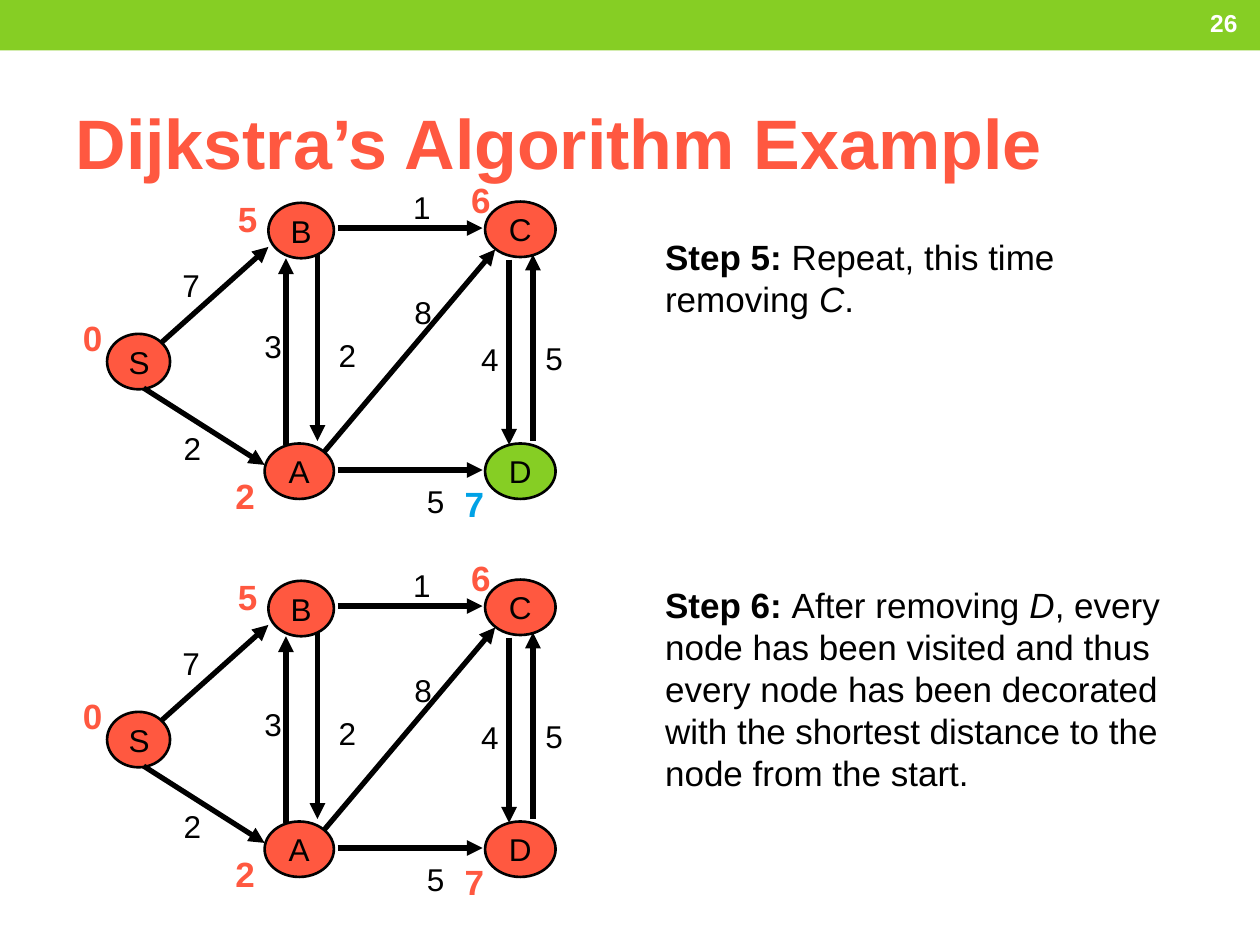
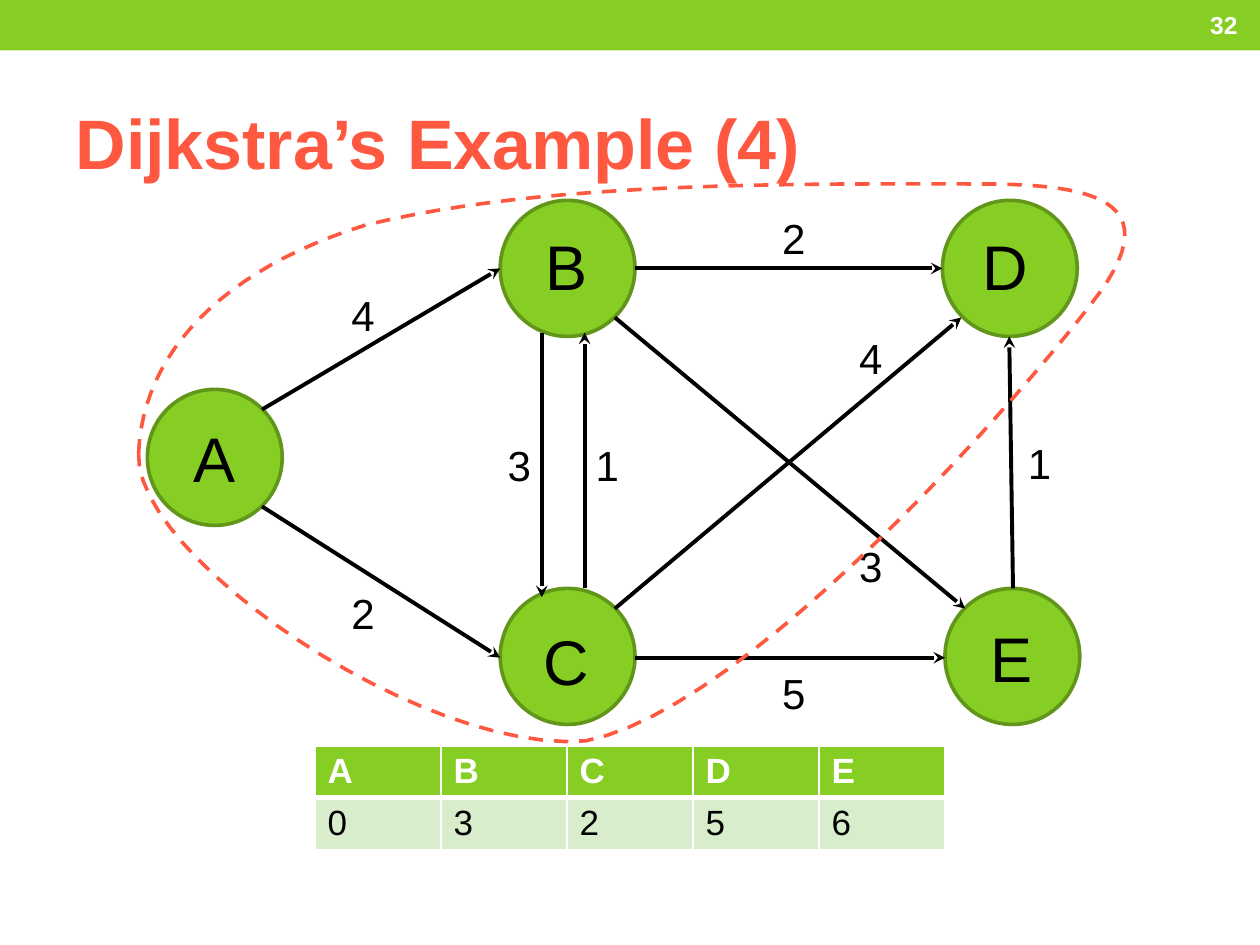
from lxml import etree
from pptx import Presentation
from pptx.dml.color import RGBColor
from pptx.enum.dml import MSO_LINE
from pptx.enum.shapes import MSO_CONNECTOR, MSO_SHAPE
from pptx.enum.text import MSO_ANCHOR, MSO_AUTO_SIZE, PP_ALIGN
from pptx.oxml.ns import qn
from pptx.util import Inches, Pt

STRAIGHT = MSO_CONNECTOR.STRAIGHT
OVAL, RECTANGLE = MSO_SHAPE.OVAL, MSO_SHAPE.RECTANGLE
TOP, MIDDLE = MSO_ANCHOR.TOP, MSO_ANCHOR.MIDDLE
LEFT, CENTER, RIGHT = PP_ALIGN.LEFT, PP_ALIGN.CENTER, PP_ALIGN.RIGHT

FONT = "Arial"
GREEN, DARK_GREEN, PALE_GREEN = "86CE24", "61961A", "D8EDCB"
RED, BLUE, BLACK, WHITE = "FF5840", "00A2E6", "000000", "FFFFFF"
BOLD, ITALIC = {"bold": True}, {"italic": True}

# Steps: graph offset, nodes still waiting, text box, text runs
STEPS = [
    {"offset": 0, "waiting": {"D"}, "box": (5.18, 1.82, 4.32, 0.77),
     "runs": [("Step 5: ", BOLD), ("Repeat, this time removing ", {}),
              ("C", ITALIC), (".", {})]},
    {"offset": 3, "waiting": set(), "box": (5.18, 4.58, 4.32, 1.78),
     "runs": [("Step 6: ", BOLD), ("After removing ", {}), ("D", ITALIC),
              (", every node has been visited and thus every node has been "
               "decorated with the shortest distance to the node from the start.", {})]},
]
# Name: left, top, width, distance, distance box
STEP_NODES = {
    "S": (0.85, 2.65, 0.5, "0", (0.56, 2.46, 0.3)),
    "B": (2.13, 1.61, 0.52, "5", (1.79, 1.52, 0.43)),
    "A": (2.1, 3.52, 0.55, "2", (1.77, 3.72, 0.43)),
    "D": (3.85, 3.52, 0.56, "7", (3.59, 3.78, 0.43)),
    "C": (3.85, 1.6, 0.56, "6", (3.64, 1.37, 0.37)),
}
# Edges: start, end, weight, weight position
STEP_EDGES = [
    ((1.28, 2.72), (2.13, 1.96), "7", (1.35, 2.06)),
    ((1.14, 3.08), (2.1, 3.69), "2", (1.36, 3.36)),
    ((2.68, 1.81), (3.83, 1.81), "1", (3.18, 1.44)),
    ((2.68, 3.73), (3.83, 3.73), "5", (3.29, 3.78)),
    ((2.57, 3.59), (3.93, 1.98), "8", (3.19, 2.28)),
    ((4.23, 3.5), (4.23, 2.02), "5", (4.23, 2.64)),
    ((2.27, 3.53), (2.27, 2.05), "3", (2, 2.55)),
    ((2.52, 2.02), (2.52, 3.5), "2", (2.59, 2.62)),
    ((4.04, 2.06), (4.04, 3.53), "4", (3.72, 2.65)),
]

# Name: node position, letter position
FINAL_NODES = {
    "A": ((1.17, 3.09), (1.36, 3.28)),
    "B": ((3.97, 1.59), (4.15, 1.76)),
    "C": ((3.97, 4.67), (4.15, 4.89)),
    "D": ((7.48, 1.59), (7.63, 1.76)),
    "E": ((7.5, 4.67), (7.68, 4.87)),
}
FINAL_EDGES = [
    ((2.08, 3.25), (3.97, 2.13), "4", (2.69, 2.25)),
    ((2.08, 4.02), (3.97, 5.22), "2", (2.69, 4.61)),
    ((4.3, 2.64), (4.3, 4.74), "3", (3.93, 3.44)),
    ((4.64, 4.67), (4.64, 2.64), "1", (4.63, 3.44)),
    ((5.04, 2.13), (7.48, 2.13), "2", (6.11, 1.64)),
    ((4.88, 2.52), (7.66, 4.83), "3", (6.72, 4.24)),
    ((8.04, 4.67), (8.01, 2.67), "1", (8.06, 3.42)),
    ((5.04, 5.22), (7.5, 5.22), "5", (6.11, 5.25)),
    ((4.88, 4.83), (7.63, 2.52), "4", (6.72, 2.59)),
]
DISTANCES = [("A", "B", "C", "D", "E"), ("0", "3", "2", "5", "6")]

# Outline around visited nodes: start, then two control points and an end per curve
VISITED_START = (1.1, 3.6)
VISITED_CURVES = [
    ((1.13, 2.8), (1.77, 2.14), (2.89, 1.79)),
    ((4.32, 1.43), (6.4, 1.46), (7.86, 1.46)),
    ((8.64, 1.47), (9.26, 1.58), (8.73, 2.32)),
    ((8.19, 3.05), (5.97, 5.62), (4.65, 5.88)),
    ((3.35, 5.99), (1.06, 4.41), VISITED_START),
]
CURVE_STEPS = 24


def rgb(color):
    return RGBColor.from_string(color)


def inches(values):
    return [Inches(value) for value in values]


def set_line(line, color, width):
    line.color.rgb = rgb(color)
    line.width = Pt(width)


def write_text(frame, runs, size, color=BLACK, align=LEFT, anchor=TOP, bold=False):
    """Fill a text frame with one paragraph; runs is a string or (text, format) pairs."""
    settings = {"word_wrap": True, "auto_size": MSO_AUTO_SIZE.NONE,
                "vertical_anchor": anchor}
    for name, value in settings.items():
        setattr(frame, name, value)
    paragraph = frame.paragraphs[0]
    paragraph.alignment = align
    for text, extra in [(runs, {})] if isinstance(runs, str) else runs:
        run = paragraph.add_run()
        run.text = text
        font_format = {"name": FONT, "size": Pt(size), "bold": bold, "italic": False}
        for name, value in {**font_format, **extra}.items():
            setattr(run.font, name, value)
        run.font.color.rgb = rgb(color)


def add_text(shapes, box, runs, size, **options):
    write_text(shapes.add_textbox(*inches(box)).text_frame, runs, size, **options)


def add_filled(shapes, kind, box, fill, line=None):
    shape = shapes.add_shape(kind, *inches(box))
    shape.shadow.inherit = False
    shape.fill.solid()
    shape.fill.fore_color.rgb = rgb(fill)
    if line:
        set_line(shape.line, *line)
    else:
        shape.line.fill.background()
    return shape


def add_arrow(shapes, start, end, width, head):
    arrow = shapes.add_connector(STRAIGHT, *inches(start + end))
    set_line(arrow.line, BLACK, width)
    properties = arrow.element.spPr
    etree.SubElement(properties.find(qn("a:ln")), qn("a:tailEnd"), type=head)
    etree.SubElement(properties, qn("a:effectLst"))


def add_edges(shapes, edges, offset, width, head, weight_box, size):
    for (x1, y1), (x2, y2), weight, (left, top) in edges:
        add_arrow(shapes, (x1, y1 + offset), (x2, y2 + offset), width, head)
        add_text(shapes, (left, top + offset, *weight_box), weight, size)


def add_step_graph(slide, offset, waiting):
    shapes = slide.shapes.add_group_shape().shapes
    for name, (left, top, width, *_) in STEP_NODES.items():
        node = add_filled(shapes, OVAL, (left, top + offset, width, 0.44),
                          GREEN if name in waiting else RED, (BLACK, 1.5))
        write_text(node.text_frame, name, 18, align=CENTER, anchor=MIDDLE)
    add_edges(shapes, STEP_EDGES, offset, 3, "triangle", (0.26, 0.33), 18)
    for name, (*_, distance, (left, top, width)) in STEP_NODES.items():
        add_text(shapes, (left, top + offset, width, 0.44), distance, 20,
                 color=BLUE if name in waiting else RED, bold=True)


def add_final_graph(slide):
    shapes = slide.shapes.add_group_shape().shapes
    for name, (node_at, letter_at) in FINAL_NODES.items():
        add_filled(shapes, OVAL, (*node_at, 1.07, 1.08), GREEN, (DARK_GREEN, 2.08))
        add_text(shapes, (*letter_at, 0.69, 0.71), name, 36, align=CENTER)
    add_edges(shapes, FINAL_EDGES, 0, 2.25, "stealth", (0.33, 0.5), 24)


def curve_points(start, curves):
    """Yield points along a chain of cubic curves."""
    for first, second, end in curves:
        for step in range(1, CURVE_STEPS + 1):
            t = step / CURVE_STEPS
            weights = ((1 - t) ** 3, 3 * t * (1 - t) ** 2, 3 * t * t * (1 - t), t ** 3)
            corners = (start, first, second, end)
            yield tuple(Inches(sum(weight * corner[axis]
                                   for weight, corner in zip(weights, corners)))
                        for axis in (0, 1))
        start = end


def add_visited_outline(slide):
    builder = slide.shapes.build_freeform(*inches(VISITED_START))
    builder.add_line_segments(curve_points(VISITED_START, VISITED_CURVES), close=True)
    outline = builder.convert_to_shape()
    outline.shadow.inherit = False
    outline.fill.background()
    set_line(outline.line, RED, 2.08)
    outline.line.dash_style = MSO_LINE.DASH


def set_borders(cell, widths):
    properties = cell._tc.get_or_add_tcPr()
    for position, (side, width) in enumerate(widths.items()):
        border = etree.Element(qn(f"a:ln{side}"), w=str(Pt(width)))
        fill = etree.SubElement(border, qn("a:solidFill"))
        etree.SubElement(fill, qn("a:srgbClr"), val=WHITE)
        properties.insert(position, border)


def add_distance_table(slide):
    frame = slide.shapes.add_table(len(DISTANCES), len(DISTANCES[0]),
                                   *inches((2.5, 5.92, 5, 0.82)))
    for row, values in enumerate(DISTANCES):
        header = row == 0
        for column, value in enumerate(values):
            cell = frame.table.cell(row, column)
            cell.fill.solid()
            cell.fill.fore_color.rgb = rgb(GREEN if header else PALE_GREEN)
            write_text(cell.text_frame, value, 20, color=WHITE if header else BLACK,
                       bold=header)
            set_borders(cell, {"L": 1, "R": 1, "T": 1 if header else 3,
                               "B": 3 if header else 1})


def add_titled_slide(presentation, title, number, number_top):
    slide = presentation.slides.add_slide(presentation.slide_layouts[5])
    shape = slide.shapes.title
    shape.left, shape.top, shape.width, shape.height = inches((0.5, 0.58, 9, 1.08))
    write_text(shape.text_frame, title, 40, color=RED, anchor=MIDDLE, bold=True)
    add_text(slide.shapes, (8.75, number_top, 1.17, 0.36), number, 14, color=WHITE,
             align=RIGHT, anchor=MIDDLE, bold=True)
    return slide


def move_band_to_master(presentation, slide):
    """Draw the top band once and place it behind everything on the master."""
    band = add_filled(slide.shapes, RECTANGLE, (0, 0, 10, 0.4), GREEN)
    presentation.slide_master.shapes.element.insert(2, band.element)


def main():
    presentation = Presentation()
    presentation.slide_width, presentation.slide_height = inches((10, 7.5))

    steps_slide = add_titled_slide(presentation, "Dijkstra’s Algorithm Example", "26", 0)
    move_band_to_master(presentation, steps_slide)
    for step in STEPS:
        add_text(steps_slide.shapes, step["box"], step["runs"], 20)
        add_step_graph(steps_slide, step["offset"], step["waiting"])

    final_slide = add_titled_slide(presentation, "Dijkstra’s Example (4)", "32", 0.02)
    add_distance_table(final_slide)
    add_final_graph(final_slide)
    add_visited_outline(final_slide)

    presentation.save("out.pptx")


if __name__ == "__main__":
    main()
